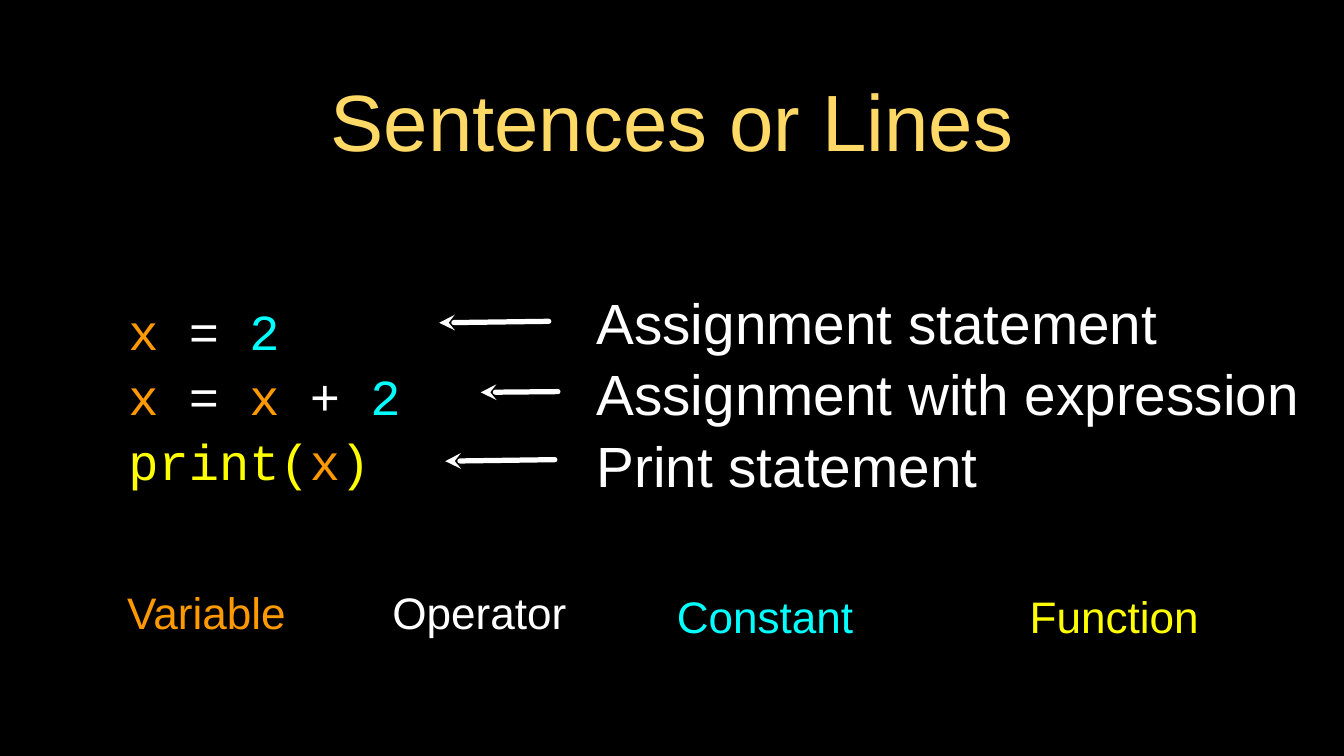
from dataclasses import dataclass

from lxml.etree import SubElement
from pptx import Presentation
from pptx.dml.color import RGBColor
from pptx.enum.text import MSO_ANCHOR, MSO_AUTO_SIZE, PP_ALIGN
from pptx.oxml.ns import qn
from pptx.util import Inches, Pt

WIDTH, HEIGHT = Inches(17.78), Inches(10)
COLUMNS = ROWS = 100


@dataclass(frozen=True)
class Theme:
    background: str = "000000"
    title: str = "FFD966"
    variable: str = "FF9900"
    operator: str = "FFFFFF"
    constant: str = "00FFFF"
    function: str = "FFFF00"
    plain: str = "FFFFFF"
    text_font: str = "Arial"
    code_font: str = "Courier New"
    title_size: int = 76
    code_size: int = 48
    legend_size: int = 42
    statement_size: int = 54
    arrow_width: int = 5


THEME = Theme()

CODE_LINES = [
    [("x ", "variable"), ("= ", "operator"), ("2", "constant")],
    [("x ", "variable"), ("= ", "operator"), ("x ", "variable"),
     ("+ ", "operator"), ("2", "constant")],
    [("print(", "function"), ("x", "variable"), (")", "function")],
]
STATEMENTS = ["Assignment statement", "Assignment with expression", "Print statement"]
LEGEND = [
    ("Variable", 8.16, 77.7, 14.4),
    ("Operator", 28.91, 77.7, 13.5),
    ("Constant", 49.72, 78.2, 14.4),
    ("Function", 72.16, 78.2, 21.48),
]
ARROWS = [
    (32.68, 42.7, 40.83, 42.5),
    (35.77, 51.9, 41.51, 51.8),
    (33.13, 61, 41.28, 60.8),
]


def across(columns):
    return round(WIDTH * columns / COLUMNS)


def down(rows):
    return round(HEIGHT * rows / ROWS)


def apply_format(target, values):
    for name, value in values.items():
        setattr(target, name, value)


def place(shape, left, top, width, height):
    apply_format(shape, {"left": across(left), "top": down(top),
                         "width": across(width), "height": down(height)})


def write_lines(frame, lines, font, size, align=PP_ALIGN.LEFT, spacing=1.0, inset=0.0):
    margins = {f"margin_{side}": Inches(inset) for side in ("left", "top", "right", "bottom")}
    apply_format(frame, {"word_wrap": True, "vertical_anchor": MSO_ANCHOR.MIDDLE, **margins})
    for index, line in enumerate(lines):
        paragraph = frame.add_paragraph() if index else frame.paragraphs[0]
        apply_format(paragraph, {"alignment": align, "line_spacing": spacing})
        for text, role in line:
            run = paragraph.add_run()
            run.text = text
            apply_format(run.font, {"name": font, "size": Pt(size)})
            run.font.color.rgb = RGBColor.from_string(getattr(THEME, role))


def add_title(slide, text):
    title = slide.shapes.title
    place(title, 5, 8.4, 90, 14.9)
    title.text_frame.auto_size = MSO_AUTO_SIZE.NONE
    write_lines(title.text_frame, [[(text, "title")]], THEME.text_font,
                THEME.title_size, PP_ALIGN.CENTER, inset=0.04)


def add_text(slide, box, lines, font, size, **layout):
    shape = slide.shapes.add_textbox(0, 0, 0, 0)
    place(shape, *box)
    shape.text_frame.auto_size = MSO_AUTO_SIZE.SHAPE_TO_FIT_TEXT
    write_lines(shape.text_frame, lines, font, size, **layout)


def add_arrow(slide, tip_left, tip_top, tail_left, tail_top):
    arrow = slide.shapes.add_connector(1, across(tip_left), down(tip_top),
                                       across(tail_left), down(tail_top))
    arrow.line.width = Pt(THEME.arrow_width)
    arrow.line.color.rgb = RGBColor.from_string(THEME.plain)
    outline = arrow.line._get_or_add_ln()
    outline.set("cap", "rnd")
    SubElement(outline, qn("a:round"))
    SubElement(outline, qn("a:headEnd"), type="stealth")
    SubElement(arrow._element.spPr, qn("a:effectLst"))


def main():
    presentation = Presentation()
    apply_format(presentation, {"slide_width": WIDTH, "slide_height": HEIGHT})
    slide = presentation.slides.add_slide(presentation.slide_layouts[5])
    slide.background.fill.solid()
    slide.background.fill.fore_color.rgb = RGBColor.from_string(THEME.background)

    add_title(slide, "Sentences or Lines")
    add_text(slide, (9.56, 39.9, 24.63, 24.2), CODE_LINES,
             THEME.code_font, THEME.code_size, spacing=1.07)
    for label, left, top, width in LEGEND:
        add_text(slide, (left, top, width, 6.5), [[(label, label.lower())]],
                 THEME.text_font, THEME.legend_size, align=PP_ALIGN.CENTER)
    add_text(slide, (44.38, 39, 54.61, 25.6), [[(text, "plain")] for text in STATEMENTS],
             THEME.text_font, THEME.statement_size, spacing=1.05)
    for arrow in ARROWS:
        add_arrow(slide, *arrow)
    presentation.save("out.pptx")


if __name__ == "__main__":
    main()
